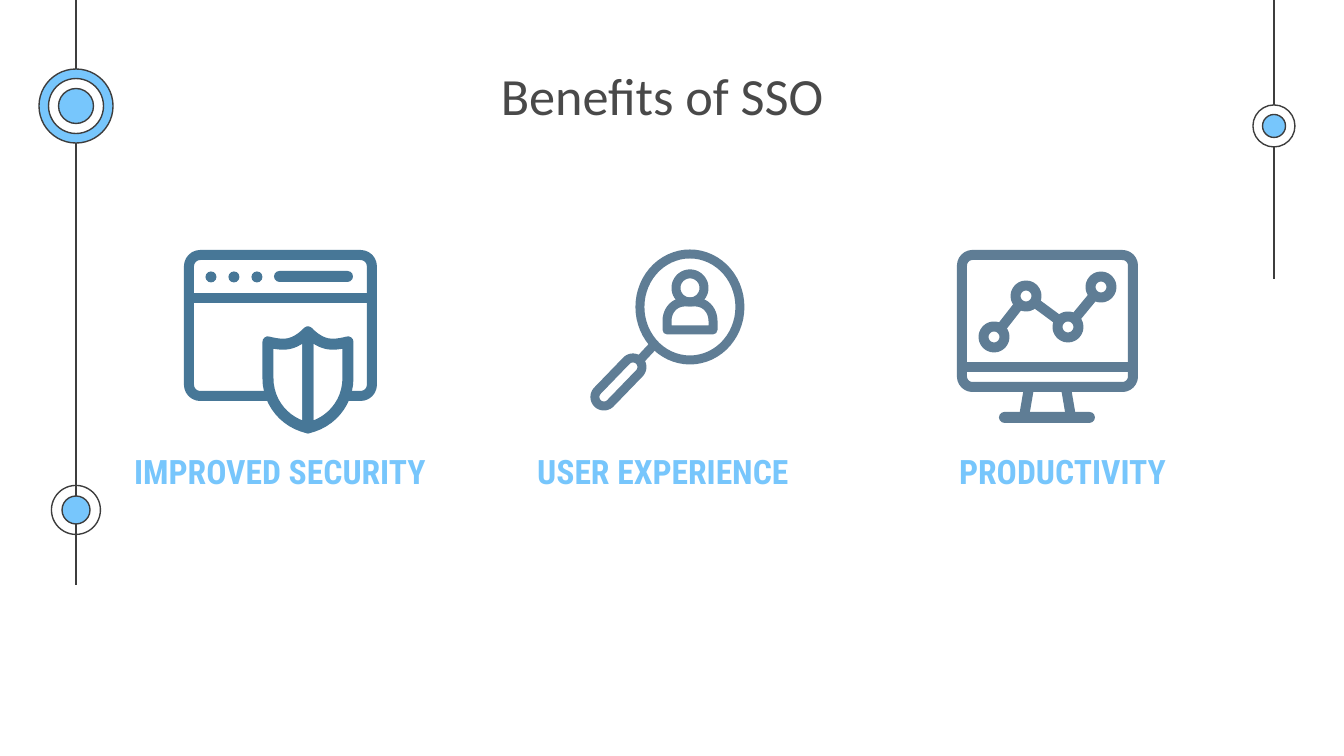
from math import cos, radians, sin

from pptx import Presentation
from pptx.dml.color import RGBColor
from pptx.enum.shapes import MSO_CONNECTOR, MSO_SHAPE
from pptx.enum.text import MSO_ANCHOR, PP_ALIGN
from pptx.oxml.ns import qn
from pptx.util import Pt
from lxml.etree import SubElement

PX = 914400 / 134.4  # EMU in one px
PT = 72 / 134.4      # points in one px

THEME = {
    "ink": RGBColor(0x3D, 0x3D, 0x3D),
    "title": RGBColor(0x49, 0x49, 0x49),
    "sky": RGBColor(0x77, 0xC6, 0xFC),
    "white": RGBColor(0xFF, 0xFF, 0xFF),
    "steel": RGBColor(0x47, 0x77, 0x97),
    "slate": RGBColor(0x5F, 0x7D, 0x95),
    "title_font": {"name": "Calibri", "size": Pt(28), "bold": False},
    "label_font": {"name": "Roboto Condensed", "size": Pt(18), "bold": True},
}


def paint(part, fill, line, width):
    """Fill and outline a shape; width is in px."""
    part.shadow.inherit = False
    if fill:
        part.fill.solid()
        part.fill.fore_color.rgb = THEME[fill]
    else:
        part.fill.background()
    if line:
        part.line.color.rgb = THEME[line]
        part.line.width = Pt(round(width * PT, 2))
        SubElement(part.line._get_or_add_ln(), qn("a:round"))
    else:
        part.line.fill.background()


def curve(start, pull_a, pull_b, end, steps=12):
    """Points along a cubic curve, in px."""
    return [
        tuple((1 - t) ** 3 * a + 3 * (1 - t) ** 2 * t * b + 3 * (1 - t) * t * t * c + t ** 3 * d
              for a, b, c, d in zip(start, pull_a, pull_b, end))
        for t in (step / steps for step in range(steps + 1))
    ]


deck = Presentation()
deck.slide_width, deck.slide_height = round(1344 * PX), round(756 * PX)
page = deck.slides.add_slide(deck.slide_layouts[6])
shapes = page.shapes

# Straight strokes: side rails, then the bars and links of the icons
chart_nodes = [(994, 337), (1026, 296), (1068, 327), (1101, 287)]
strokes = [
    (76, 0, 76, 585, "ink", 1.4),
    (1274, 0, 1274, 279, "ink", 1.4),
    (189, 298, 372, 298, "steel", 10),
    (962, 367, 1133, 367, "slate", 10),
    (1029, 388, 1024, 417, "slate", 10),
    (1066, 388, 1071, 417, "slate", 10),
]
strokes += [(*a, *b, "slate", 10) for a, b in zip(chart_nodes, chart_nodes[1:])]
for x1, y1, x2, y2, color, width in strokes:
    stroke = shapes.add_connector(
        MSO_CONNECTOR.STRAIGHT, *(round(v * PX) for v in (x1, y1, x2, y2)))
    stroke.line.color.rgb = THEME[color]
    stroke.line.width = Pt(round(width * PT, 2))
    SubElement(stroke._element.spPr, qn("a:effectLst"))

# Circles: centre, diameter, fill, line, line width
circles = [
    (76, 106, 74, "sky", "ink", 1.4),
    (76, 106, 55, "white", "ink", 1.4),
    (76, 106, 35, "sky", "ink", 1.4),
    (76, 510, 49, None, "ink", 1.4),
    (76, 510, 28, "sky", "ink", 1.4),
    (1274, 126, 42, "white", "ink", 1.4),
    (1274, 126, 23, "sky", "ink", 1.4),
]
circles += [(x, 277, 11, "steel", None, 0) for x in (211, 234, 257)]
circles += [(x, y, 21, "white", "slate", 10) for x, y in chart_nodes]
for x, y, size, *look in circles:
    circle = shapes.add_shape(
        MSO_SHAPE.OVAL, *(round(v * PX) for v in (x - size / 2, y - size / 2, size, size)))
    paint(circle, *look)

# Rounded boxes: place, corner share, fill, line, line width
rounded_boxes = [
    (189, 255, 183, 141, 0.08, None, "steel", 10),     # browser window
    (274, 271, 79, 11, 0.5, "steel", None, 0),         # address bar
    (962, 255, 171, 132, 0.08, None, "slate", 10),     # monitor
    (999, 412, 96, 11, 0.5, "slate", None, 0),         # monitor foot
]
for x, y, width, height, corner, *look in rounded_boxes:
    box = shapes.add_shape(
        MSO_SHAPE.ROUNDED_RECTANGLE, *(round(v * PX) for v in (x, y, width, height)))
    box.adjustments[0] = corner
    paint(box, *look)

# Curved outlines: shield, magnifier and user, each a list of closed contours
shield_half = (curve((308, 332), (294, 346), (284, 346), (268, 342))
               + curve((268, 378), (268, 404), (286, 423), (308, 428)))
shield_mirror = [(2 * 308 - x, y) for x, y in shield_half]
shoulders = ([(667, 330)]
             + curve((667, 321), (667, 310), (675, 302), (685, 302))
             + curve((695, 302), (705, 302), (713, 310), (713, 321))
             + [(713, 330)])
# Arcs: centre, radii, first and last angle
lens, head, handle_end, handle_top = (
    [(x + rx * cos(radians(turn)), y + ry * sin(radians(turn)))
     for turn in range(first, last, 6)]
    for x, y, rx, ry, first, last in [
        (690, 307, 50, 53, 0, 360),
        (690, 288, 14, 14, 0, 360),
        (604, 397, 9, 9, 44, 225),
        (633, 367, 9, 9, 224, 405),
    ]
)
neck = [(640, 360), (654, 345)]
outlines = [
    ([shield_half, shield_mirror], "white", "steel", 11),
    ([lens, handle_end + handle_top, neck], None, "slate", 9),
    ([head, shoulders], None, "slate", 9),
]
for contours, *look in outlines:
    contours = [[(round(x * PX), round(y * PX)) for x, y in points] for points in contours]
    builder = shapes.build_freeform(*contours[0][0], scale=1.0)
    for points in contours:
        if points is not contours[0]:
            builder.move_to(*points[0])
        builder.add_line_segments(points[1:], close=True)
    paint(builder.convert_to_shape(), *look)

# Title and benefit labels
texts = [
    ("Benefits of SSO", 252, 50, 820, 87, "title_font", "title"),
    ("IMPROVED SECURITY", 85, 437, 390, 48, "label_font", "sky"),
    ("USER EXPERIENCE", 500, 437, 326, 48, "label_font", "sky"),
    ("PRODUCTIVITY", 933, 437, 259, 48, "label_font", "sky"),
]
frame_format = {"word_wrap": True, "vertical_anchor": MSO_ANCHOR.TOP}
frame_format |= {f"margin_{side}": round(13.44 * PX) for side in ("left", "top", "right", "bottom")}
for words, x, y, width, height, font, color in texts:
    box = shapes.add_textbox(*(round(v * PX) for v in (x, y, width, height)))
    for name, value in frame_format.items():
        setattr(box.text_frame, name, value)
    para = box.text_frame.paragraphs[0]
    para.alignment = PP_ALIGN.CENTER
    span = para.add_run()
    span.text = words
    for name, value in THEME[font].items():
        setattr(span.font, name, value)
    span.font.color.rgb = THEME[color]

deck.save("out.pptx")
